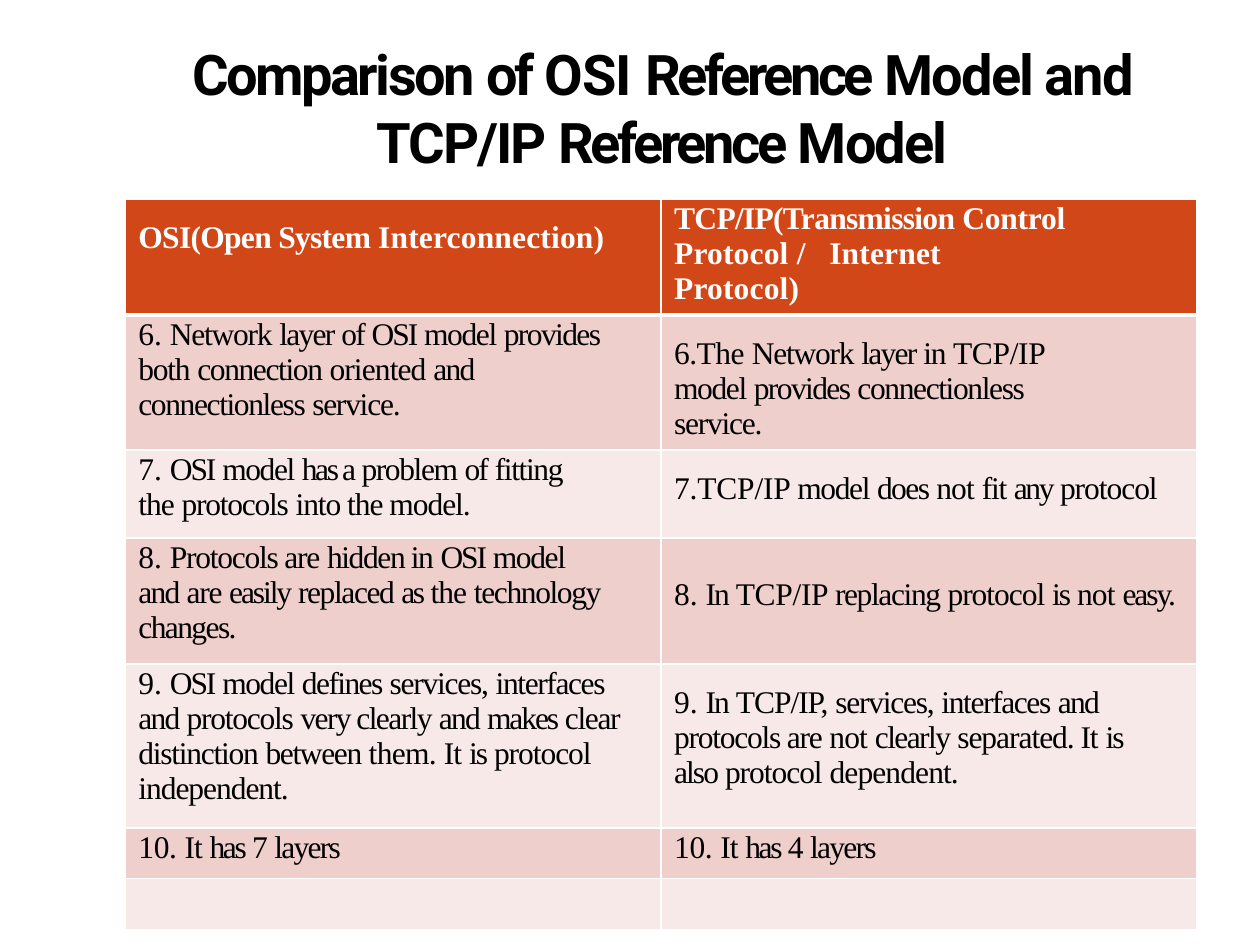
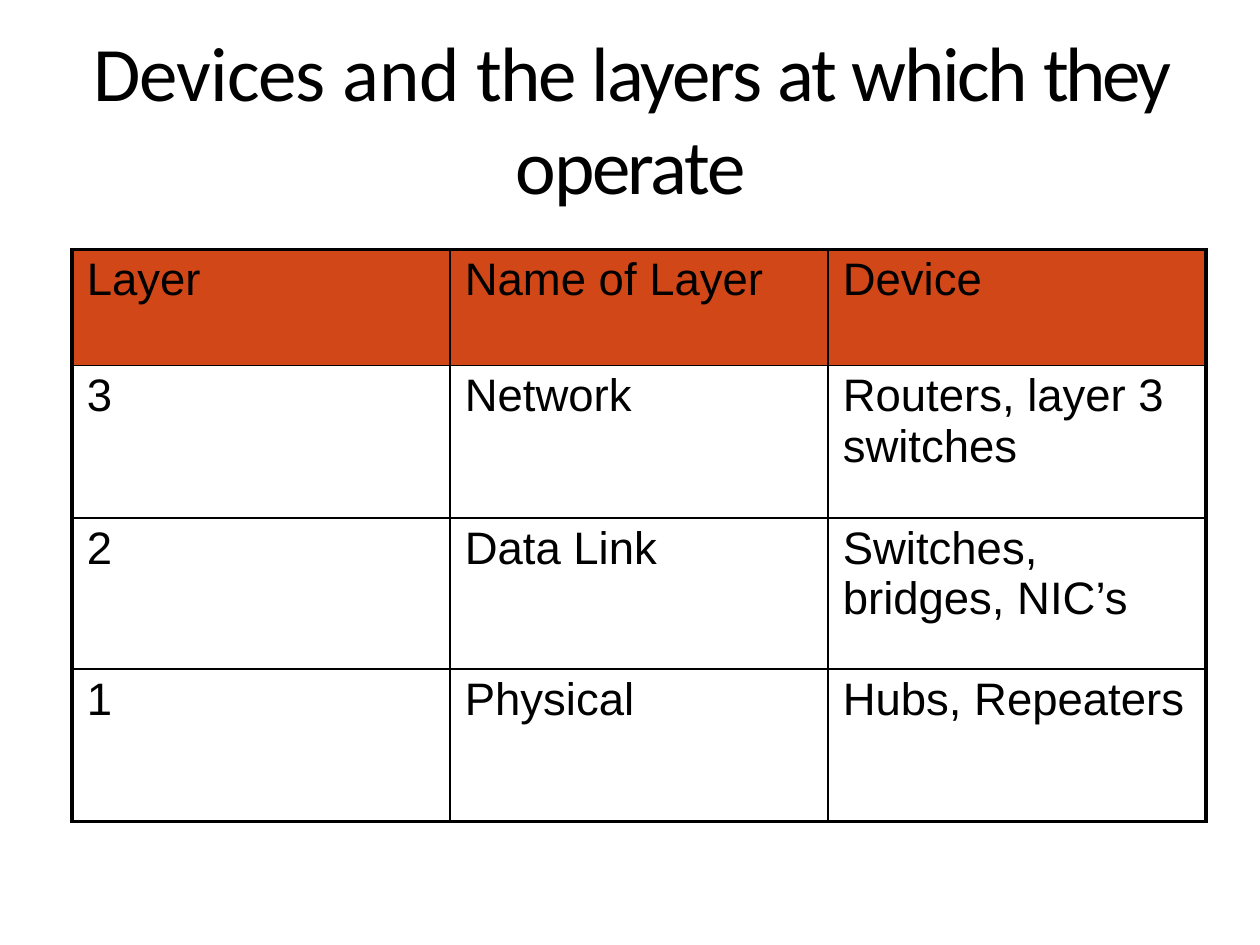
import itertools

import lxml.etree
import pptx
import pptx.dml.color
import pptx.enum.text
import pptx.oxml.ns
import pptx.util

Cm = pptx.util.Cm
ORANGE, ROSE, BLUSH = "D24717", "EECFCC", "F7E9E7"
BLACK, WHITE = "000000", "FFFFFF"

OSI_TITLE = {"size": 32, "name": "Roboto", "bold": True, "color": BLACK, "default": -2,
             "tracking": {"Comparison": -1.5, "of": -2.1, "OSI": -0.5, "Model": -1.1,
                          "and": -1.1, "TCP/IP": -1.2}}
DEVICES_TITLE = {"size": 44, "name": "Calibri", "bold": False, "color": BLACK, "default": -1.4,
                 "tracking": {"Devices": -0.6, "and": -0.2, "layers": -1.2,
                              "at": -1.6, "they": -2}}
COMPARISON_HEAD = {"size": 18, "name": "Times New Roman", "bold": True, "color": WHITE,
                   "default": 0.1,
                   "tracking": {"OSI(Open": -0.4, "System": -0.4, "TCP/IP(Transmission": -0.4,
                                "Control": -0.1, "/": 4.5}}
COMPARISON_BODY = {"size": 18, "name": "Times New Roman", "bold": False, "color": BLACK,
                   "default": -0.8,
                   "tracking": {word: points for points, words in {
                       0: "6. 7. 8. 9.", -0.1: "7.TCP/IP", -0.2: "10. TCP/IP", -0.3: "6.The",
                       -0.4: "them.", -0.5: "oriented not dependent.",
                       -0.6: "the into model. protocol It independent. TCP/IP, separated.",
                       -0.7: "Network both service. protocols Protocols are fit services, "
                             "distinction",
                       -0.9: "provides does changes. defines very clearly",
                       -1: "layer and layers", -1.1: "of In is also",
                       -1.2: "OSI easily makes easy.", -1.4: "has a any as",
                   }.items() for word in words.split()}}
DEVICES_TEXT = {"size": 26, "name": "Arial", "bold": False, "color": BLACK,
                "default": 0, "tracking": {}}

COMPARISON = [
    ("OSI(Open System Interconnection)",
     "TCP/IP(Transmission Control\nProtocol / Internet\nProtocol)"),
    ("6. Network layer of OSI model provides\nboth connection oriented and\n"
     "connectionless service.",
     "6.The Network layer in TCP/IP\nmodel provides connectionless\nservice."),
    ("7. OSI model has a problem of fitting\nthe protocols into the model.",
     "7.TCP/IP model does not fit any protocol"),
    ("8. Protocols are hidden in OSI model\nand are easily replaced as the technology\nchanges.",
     "8. In TCP/IP replacing protocol is not easy."),
    ("9. OSI model defines services, interfaces\n"
     "and protocols very clearly and makes clear\n"
     "distinction between them. It is protocol\nindependent.",
     "9. In TCP/IP, services, interfaces and\nprotocols are not clearly separated. It is\n"
     "also protocol dependent."),
    ("10. It has 7 layers", "10. It has 4 layers"),
    ("", ""),
]
COMPARISON_INSETS = [(0.43, 0.05), (0.05, 0.43), (0.05, 0.43), (0.05, 0.79), (0.05, 0.43),
                     (0.05, 0.05), (0.05, 0.05)]
DEVICES = [
    ("Layer", "Name of Layer", "Device"),
    ("3", "Network", "Routers, layer 3 switches"),
    ("2", "Data Link", "Switches, bridges, NIC’s"),
    ("1", "Physical", "Hubs, Repeaters"),
]


def rgb(value):
    """Turn a hex string into a colour."""
    return pptx.dml.color.RGBColor.from_string(value)


def set_values(target, values):
    """Set every attribute named in a dict of format values."""
    for name, value in values.items():
        setattr(target, name, value)


class Deck:
    """Hold the presentation, its shared style and the current slide."""

    def __init__(self):
        """Open a deck of 4:3 slides."""
        self.presentation = pptx.Presentation()
        set_values(self.presentation, {"slide_width": Cm(25.4), "slide_height": Cm(19.05)})
        self.slide = None

    def add_text(self, paragraph, text, style):
        """Add lines of text, one run for each stretch of equal tracking."""
        def track(word):
            return style["tracking"].get(word, style["default"])

        for number, line in enumerate(text.split("\n")):
            if number:
                paragraph.add_line_break()
            stretches = [(points, " ".join(words))
                         for points, words in itertools.groupby(line.split(), track)]
            for position, (points, words) in enumerate(stretches, 1):
                run = paragraph.add_run()
                run.text = words + (" " if position < len(stretches) else "")
                set_values(run.font, {"size": pptx.util.Pt(style["size"]),
                                      "name": style["name"], "bold": style["bold"]})
                run.font.color.rgb = rgb(style["color"])
                run.font._element.set("spc", str(round(points * 100)))

    def add_slide(self, title, style, height, indent):
        """Start a slide with a centred title."""
        self.slide = self.presentation.slides.add_slide(self.presentation.slide_layouts[5])
        heading = self.slide.shapes.title
        set_values(heading, {"left": Cm(1.27), "top": Cm(0.76), "width": Cm(22.86),
                             "height": Cm(height)})
        set_values(heading.text_frame, {
            "margin_left": Cm(indent), "margin_top": Cm(0.03), "margin_right": 0,
            "margin_bottom": 0, "word_wrap": True,
            "vertical_anchor": pptx.enum.text.MSO_ANCHOR.MIDDLE,
            "auto_size": pptx.enum.text.MSO_AUTO_SIZE.SHAPE_TO_FIT_TEXT})
        paragraph = heading.text_frame.paragraphs[0]
        paragraph.alignment = pptx.enum.text.PP_ALIGN.CENTER
        self.add_text(paragraph, title, style)

    def add_borders(self, cell, color, widths):
        """Draw the four borders of a cell."""
        properties = cell._tc.get_or_add_tcPr()
        for side, width in widths.items():
            line = lxml.etree.SubElement(properties, pptx.oxml.ns.qn(f"a:ln{side}"),
                                         w=str(pptx.util.Pt(width)))
            fill = lxml.etree.SubElement(line, pptx.oxml.ns.qn("a:solidFill"))
            lxml.etree.SubElement(fill, pptx.oxml.ns.qn("a:srgbClr"), val=color)

    def add_table(self, texts, left, top, column_width, heights, indent, insets, styles,
                  bands, border, outer, under_header):
        """Add a table with a header row, banded body and ruled borders."""
        last_row, last_column = len(texts) - 1, len(texts[0]) - 1
        table = self.slide.shapes.add_table(
            last_row + 1, last_column + 1, Cm(left), Cm(top),
            Cm(column_width * (last_column + 1)), Cm(sum(heights))).table
        for column in table.columns:
            column.width = Cm(column_width)
        for row, height in zip(table.rows, heights):
            row.height = Cm(height)
        for row, column in itertools.product(range(last_row + 1), range(last_column + 1)):
            cell = table.cell(row, column)
            set_values(cell, {"margin_left": Cm(indent), "margin_top": Cm(insets[row][column]),
                              "margin_right": 0, "margin_bottom": 0})
            self.add_borders(cell, border, {
                "L": outer if column == 0 else 1,
                "R": outer if column == last_column else 1,
                "T": outer if row == 0 else under_header if row == 1 else 1,
                "B": outer if row == last_row else under_header if row == 0 else 1})
            cell.fill.solid()
            cell.fill.fore_color.rgb = rgb(bands[row % 2] if row else ORANGE)
            self.add_text(cell.text_frame.paragraphs[0], texts[row][column], styles[row > 0])


def main():
    """Build both slides and save them."""
    deck = Deck()
    deck.add_slide("Comparison of OSI Reference Model and TCP/IP Reference Model",
                   OSI_TITLE, height=2.77, indent=1.3)
    deck.add_table(COMPARISON, left=2.52, top=4.01, column_width=10.8,
                   heights=[2.3, 2.72, 1.78, 2.54, 3.3, 1.02, 1.04], indent=0.27,
                   insets=COMPARISON_INSETS, styles=(COMPARISON_HEAD, COMPARISON_BODY),
                   bands=(BLUSH, ROSE), border=WHITE, outer=1, under_header=3)
    deck.add_slide("Devices and the layers at which they operate",
                   DEVICES_TITLE, height=3.18, indent=0.03)
    deck.add_table(DEVICES, left=1.45, top=5.03, column_width=7.62,
                   heights=[2.34, 3.07, 3.05, 3.07], indent=0.3,
                   insets=[(0.1,) * 3] * len(DEVICES), styles=(DEVICES_TEXT, DEVICES_TEXT),
                   bands=(WHITE, WHITE), border=BLACK, outer=2.25, under_header=1)
    deck.presentation.save("out.pptx")


if __name__ == "__main__":
    main()
